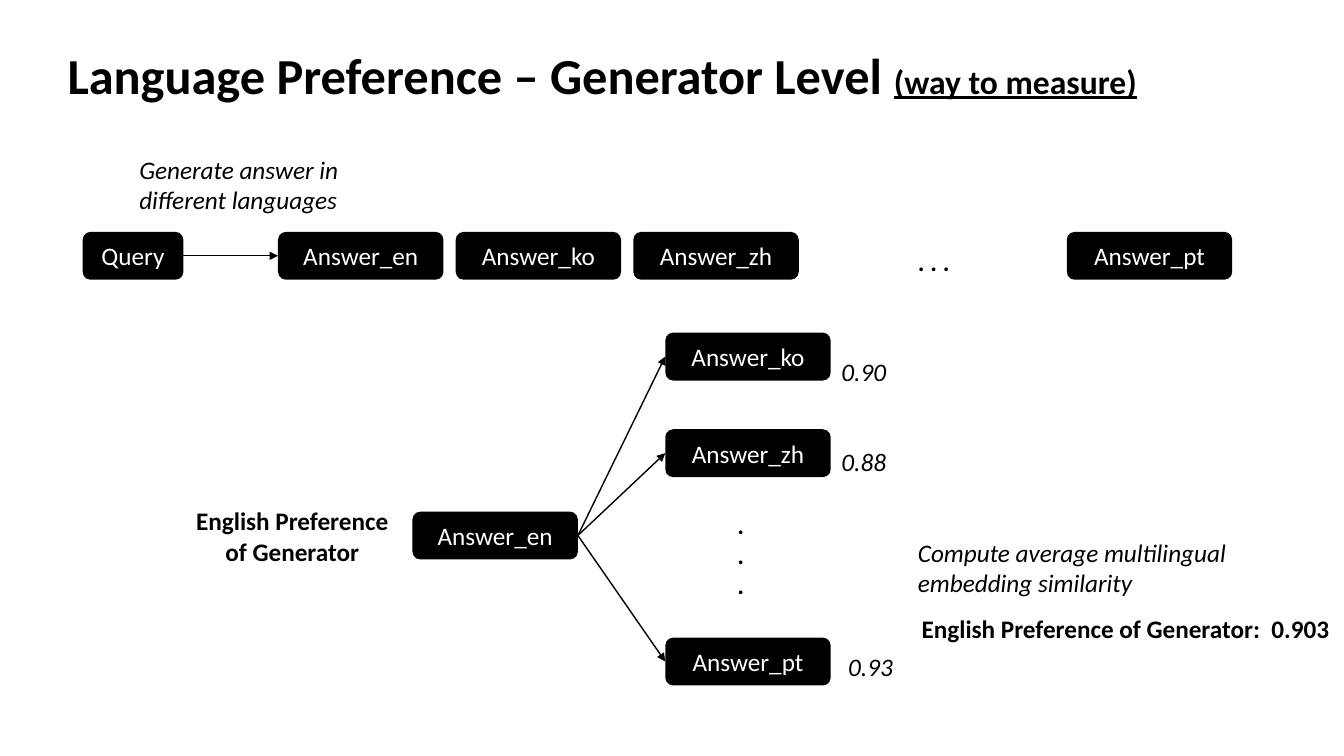
from dataclasses import dataclass

from lxml import etree
from pptx import Presentation, util as u
from pptx.dml.color import RGBColor
from pptx.enum import shapes, text
from pptx.oxml.ns import qn


@dataclass(frozen=True)
class Theme:
    """Colours, font and type sizes of the slide."""
    ink: RGBColor = RGBColor(0, 0, 0)
    pale: RGBColor = RGBColor(255, 255, 255)
    face: str = "Calibri"
    head: int = 36
    sub: int = 24
    body: int = 18
    line: int = 1


class Deck:
    """Draws styled elements on one slide, on a grid of 160 columns by 90 rows."""

    def __init__(self, theme):
        """Start a wide slide with a title."""
        self.theme = theme
        self.show = Presentation()
        self.show.slide_width = u.Inches(13.333)
        self.show.slide_height = u.Inches(7.5)
        self.slide = self.show.slides.add_slide(self.show.slide_layouts[5])

    def place(self, x, y, w, h):
        """Turn columns and rows into lengths."""
        col, row = self.show.slide_width / 160, self.show.slide_height / 90
        return [u.Emu(round(n * cell)) for n, cell in zip((x, y, w, h), (col, row) * 2)]

    def style(self, run, size, color, **form):
        """Set the font of a run."""
        base = {"name": self.theme.face, "size": u.Pt(size)}
        for key, value in {**base, **form}.items():
            setattr(run.font, key, value)
        run.font.color.rgb = color

    def letter(self, frame, lines, align, color, **form):
        """Fill a frame with one paragraph per line."""
        frame.word_wrap = True
        for i, line in enumerate(lines.split("\n")):
            para = frame.add_paragraph() if i else frame.paragraphs[0]
            para.alignment = align
            run = para.add_run()
            run.text = line
            self.style(run, self.theme.body, color, **form)

    def title(self, spot, main, note):
        """Fill the title with a main part and a smaller note."""
        shape = self.slide.shapes.title
        for key, value in zip(("left", "top", "width", "height"), self.place(*spot)):
            setattr(shape, key, value)
        frame = shape.text_frame
        form = {"auto_size": text.MSO_AUTO_SIZE.NONE, "word_wrap": True,
                "vertical_anchor": text.MSO_ANCHOR.BOTTOM}
        for key, value in form.items():
            setattr(frame, key, value)
        para = frame.paragraphs[0]
        para.alignment = text.PP_ALIGN.LEFT
        for part, size, under in ((main, self.theme.head, False), (note, self.theme.sub, True)):
            run = para.add_run()
            run.text = part
            self.style(run, size, self.theme.ink, bold=True, underline=under)

    def box(self, label, x, y, w=19.7, h=5.7):
        """Add a dark rounded box with a centred label."""
        shape = self.slide.shapes.add_shape(
            shapes.MSO_SHAPE.ROUNDED_RECTANGLE, *self.place(x, y, w, h))
        shape.shadow.inherit = False
        shape.fill.solid()
        shape.fill.fore_color.rgb = self.theme.ink
        shape.line.fill.background()
        shape.text_frame.vertical_anchor = text.MSO_ANCHOR.MIDDLE
        self.letter(shape.text_frame, label, text.PP_ALIGN.CENTER, self.theme.pale)
        return shape

    def note(self, lines, x, y, w, h=4.8, align=text.PP_ALIGN.LEFT, **form):
        """Add plain text."""
        shape = self.slide.shapes.add_textbox(*self.place(x, y, w, h))
        self.letter(shape.text_frame, lines, align, self.theme.ink, **form)

    def arrow(self, start, end):
        """Join the right side of one box to the left side of another."""
        link = self.slide.shapes.add_connector(shapes.MSO_CONNECTOR.STRAIGHT, 0, 0, 0, 0)
        link.begin_connect(start, 3)
        link.end_connect(end, 1)
        link.line.color.rgb = self.theme.ink
        link.line.width = u.Pt(self.theme.line)
        props = link.element.spPr
        etree.SubElement(props.find(qn("a:ln")), qn("a:tailEnd"), type="triangle")
        etree.SubElement(props, qn("a:effectLst"))


def main():
    """Build and save the slide."""
    deck = Deck(Theme())
    mid = text.PP_ALIGN.CENTER
    deck.title((6.84, 5, 144.7, 8), "Language Preference – Generator Level ", "(way to measure)")

    top = 27.6
    query = deck.box("Query", 9.84, top, w=12)
    langs = ("en", "ko", "zh")
    row = [deck.box(f"Answer_{lang}", 33.1 + 21.15 * i, top) for i, lang in enumerate(langs)]
    deck.box("Answer_pt", 127, top)
    deck.arrow(query, row[0])
    deck.note(". . .", 108.1, 28.7, 16.9, bold=True)
    deck.note("Generate answer in different languages", 15.4, 17.8, 28.8, 8.5, italic=True)

    source = deck.box("Answer_en", 49.1, 60.9)
    deck.note("English Preference\nof Generator", 20.6, 59.6, 28.4, 8.5, mid, bold=True)
    scores = (("ko", 39.6, "0.90", 99, 41.8),
              ("zh", 51.1, "0.88", 99, 52.6),
              ("pt", 75.9, "0.93", 99.8, 76.9))
    for lang, y, score, left, base in scores:
        deck.arrow(source, deck.box(f"Answer_{lang}", 79.2, y))
        deck.note(score, left, base, 28.8, italic=True)
    deck.note(".\n.\n.", 86.6, 60, 16.9, 12.1, bold=True)

    deck.note("Compute average multilingual embedding similarity",
              108.1, 63.4, 41.2, 8.5, italic=True)
    deck.note("English Preference of Generator:  0.903", 107.3, 72.4, 53.4, align=mid, bold=True)
    deck.show.save("out.pptx")


if __name__ == "__main__":
    main()
